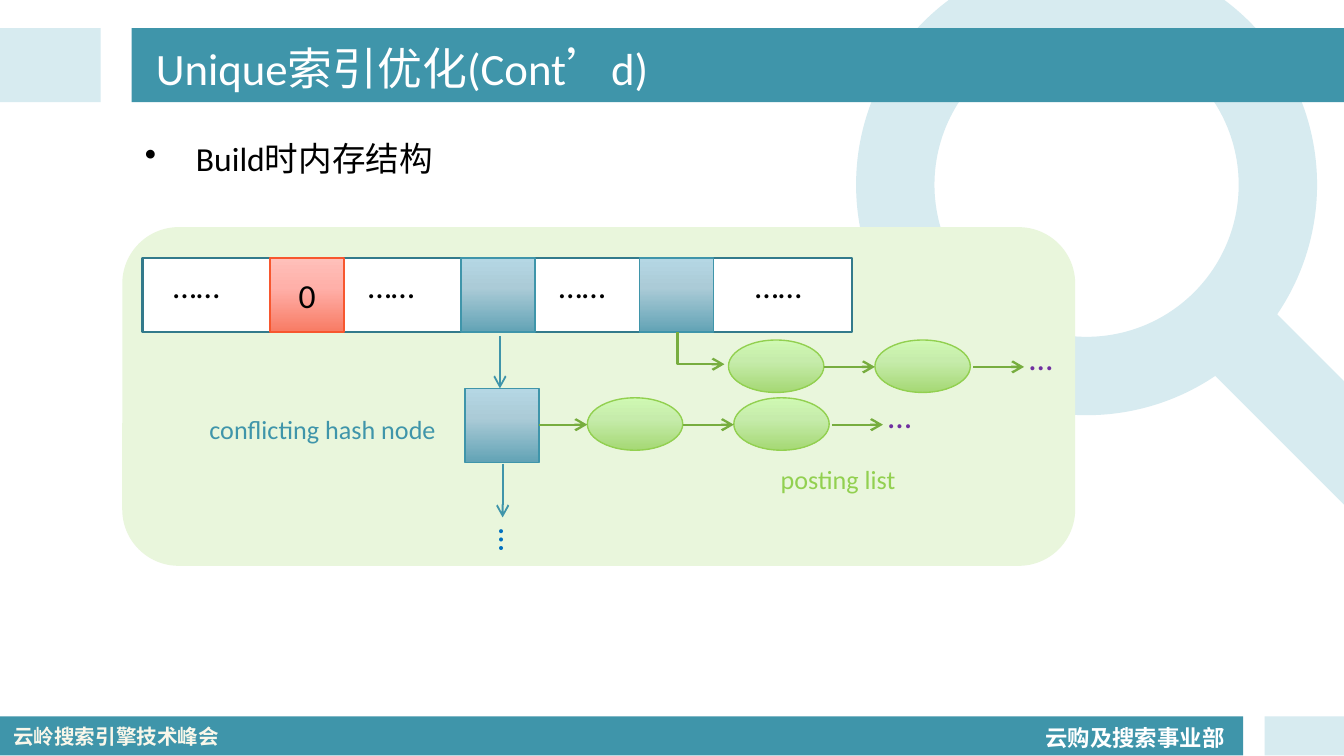
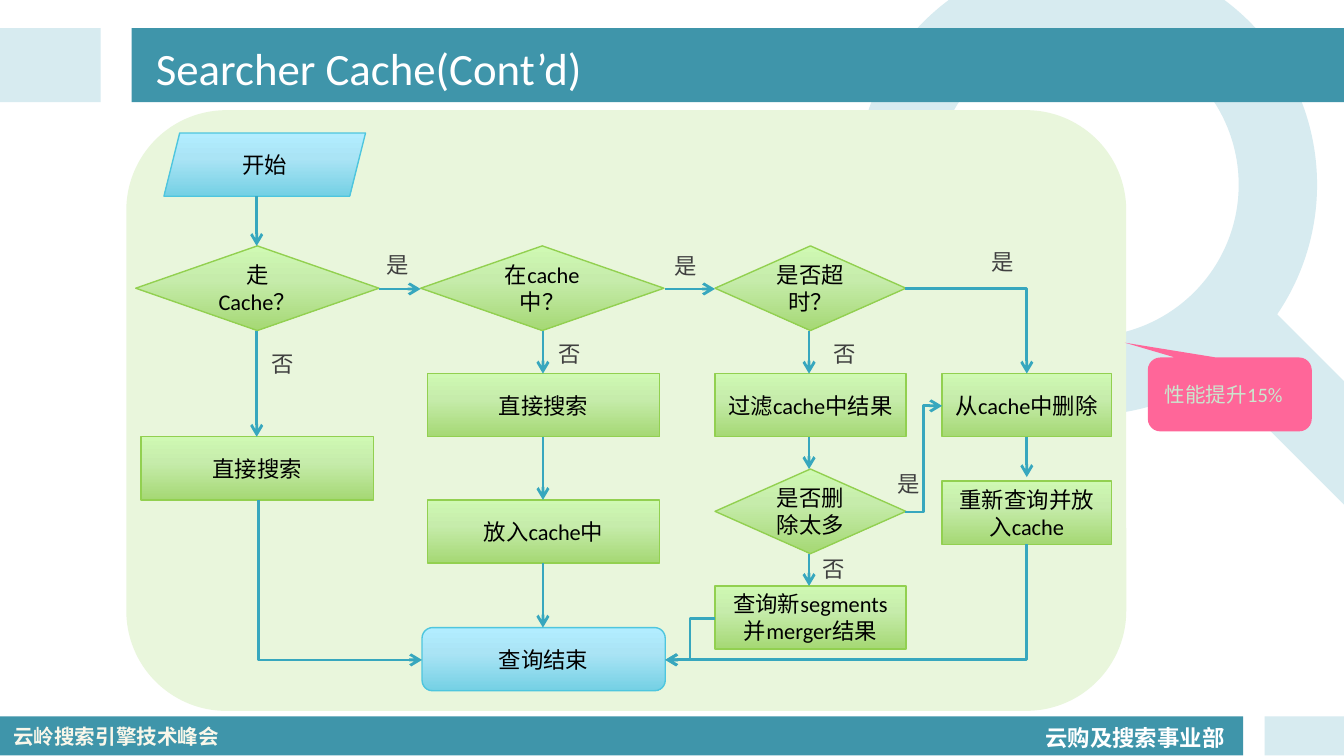
from dataclasses import dataclass
from typing import Optional

from lxml.etree import SubElement
from pptx import Presentation
from pptx.dml.color import RGBColor
from pptx.enum.shapes import MSO_CONNECTOR as Link, MSO_SHAPE as Form
from pptx.enum.text import MSO_ANCHOR as Anchor, MSO_AUTO_SIZE as AutoSize, PP_ALIGN as Align
from pptx.oxml.ns import qn
from pptx.util import Inches, Pt

COLORS = {
    "white": "FFFFFF", "black": "000000", "gray": "404040", "cream": "F9F7EA",
    "teal": "3F95AA", "pale": "D7EBF0", "panel": "E9F6DC", "frame": "337A8B",
    "flow": "37A7BE", "chain": "77AD3F", "lime": "92D050", "red": "F7572F",
    "cyan": "4EC6DE", "blue": "0070C0", "purple": "7030A0", "pink": "FF6699",
    "mint": "CBE7CE",
}
# Gradient stops at 0, 40 and 100 percent, then the outline colour
GRADIENTS = {
    "green": (("CFF9B3", "C6ECAB", "A5D874"), "lime"),
    "sky": (("B2EDFF", "AAE4F5", "74D0E4"), "cyan"),
    "steel": (("B5D7E4", "ABCBD7", "62A3B5"), "teal"),
    "rose": (("FFC0BA", "FFB0A9", "F87B64"), "red"),
}
FONT = "Calibri"
CJK_FONT = "Noto Sans CJK SC"


@dataclass
class Node:
    left: float
    top: float
    width: float
    height: float
    form: Form
    style: str
    text: str = ""
    size: float = 12


@dataclass
class Label:
    left: float
    top: float
    width: float
    height: float
    text: str
    size: float
    color: str
    font: str = FONT
    bold: bool = False
    wrap: bool = False
    grow: bool = True
    spacing: Optional[float] = None
    rotation: float = 0


@dataclass
class Arrow:
    x1: float
    y1: float
    x2: float
    y2: float
    bend: str = ""  # "across": level first, "down": upright first, "step": two bends


def rgb(name: str) -> RGBColor:
    return RGBColor.from_string(COLORS[name])


def style_para(para, size: float, color: str, font: str = FONT, bold: bool = False) -> None:
    para.font.name = font
    para.font.size = Pt(size)
    para.font.bold = bold
    para.font.color.rgb = rgb(color)


def add_plain(page, form: Form, left: float, top: float, width: float, height: float,
              fill: str, line: str = ""):
    box = page.shapes.add_shape(form, Inches(left), Inches(top), Inches(width), Inches(height))
    box.shadow.inherit = False
    box.fill.solid()
    box.fill.fore_color.rgb = rgb(fill)
    if line:
        box.line.color.rgb = rgb(line)
        box.line.width = Pt(1.25)
    else:
        box.line.fill.background()
    return box


def add_node(page, node: Node) -> None:
    stops, outline = GRADIENTS[node.style]
    box = add_plain(page, node.form, node.left, node.top, node.width, node.height,
                    "white", outline)
    box.line.width = Pt(0.75)
    box.fill.gradient()
    box.fill.gradient_angle = 270
    stop_list = box._element.spPr.find(".//" + qn("a:gsLst"))
    for old in list(stop_list):
        stop_list.remove(old)
    for position, color in zip((0, 40, 100), stops):
        stop = SubElement(stop_list, qn("a:gs"), pos=str(position * 1000))
        SubElement(stop, qn("a:srgbClr"), val=color)
    if node.text:
        box.text_frame.text = node.text
        box.text_frame.vertical_anchor = Anchor.MIDDLE
        para = box.text_frame.paragraphs[0]
        para.alignment = Align.CENTER
        style_para(para, node.size, "black")


def add_label(page, label: Label):
    box = page.shapes.add_textbox(Inches(label.left), Inches(label.top),
                                  Inches(label.width), Inches(label.height))
    box.rotation = label.rotation
    frame = box.text_frame
    frame.word_wrap = label.wrap
    frame.auto_size = AutoSize.SHAPE_TO_FIT_TEXT if label.grow else AutoSize.NONE
    frame.text = label.text
    para = frame.paragraphs[0]
    if label.spacing:
        para.line_spacing = label.spacing
    style_para(para, label.size, label.color, label.font, label.bold)
    return para


def add_arrow(page, arrow: Arrow, color: str, weight: float) -> None:
    x1, y1, x2, y2 = arrow.x1, arrow.y1, arrow.x2, arrow.y2
    rightward = x2 > x1
    if arrow.bend == "down":
        # The bend is drawn lying on its side, then turned about its centre
        middle_x, middle_y = (x1 + x2) / 2, (y1 + y2) / 2
        half_w, half_h = abs(y2 - y1) / 2, abs(x2 - x1) / 2
        x1, x2 = middle_x - half_w, middle_x + half_w
        y1, y2 = middle_y - half_h, middle_y + half_h
    kind = Link.ELBOW if arrow.bend else Link.STRAIGHT
    link = page.shapes.add_connector(kind, Inches(x1), Inches(y1), Inches(x2), Inches(y2))
    link.line.color.rgb = rgb(color)
    link.line.width = Pt(weight)
    props = link._element.spPr
    if arrow.bend in ("across", "down"):
        props.find(qn("a:prstGeom")).set("prst", "bentConnector2")
    if arrow.bend == "down":
        turn = props.find(qn("a:xfrm"))
        turn.set("rot", str((270 if rightward else 90) * 60000))
        if rightward:
            turn.set("flipH", "1")
    SubElement(props.find(qn("a:ln")), qn("a:tailEnd"), type="arrow")
    SubElement(props, qn("a:effectLst"))


def add_page(deck, title: str):
    page = deck.slides.add_slide(deck.slide_layouts[5])
    page.background.fill.solid()
    page.background.fill.fore_color.rgb = rgb("white")
    # Magnifier
    ring = add_plain(page, Form.DONUT, 6.37, -0.34, 3.43, 3.43, "pale")
    ring.adjustments[0] = 0.17
    handle = add_plain(page, Form.ROUNDED_RECTANGLE, 8.66, 2.7, 2.14, 0.65, "pale")
    handle.adjustments[0] = 0.5
    handle.rotation = 45
    # Footer and title bands
    add_plain(page, Form.RECTANGLE, 0, 5.33, 9.25, 0.29, "teal")
    add_plain(page, Form.RECTANGLE, 9.41, 5.33, 0.59, 0.29, "pale")
    add_label(page, Label(7.68, 5.3, 1.55, 0.33, "云购及搜索事业部", 12, "white",
                          bold=True, spacing=1.2))
    add_plain(page, Form.RECTANGLE, 0, 0.21, 0.75, 0.55, "pale")
    add_plain(page, Form.RECTANGLE, 0.98, 0.21, 9.02, 0.55, "teal")
    add_label(page, Label(0, 5.34, 1.77, 0.29, "云岭搜索引擎技术峰会", 11, "cream",
                          CJK_FONT, bold=True, wrap=True))
    # Title, in front of its band
    box = page.shapes.title
    box.left, box.top, box.width, box.height = map(Inches, (1.06, 0.23, 8.44, 0.54))
    box.text_frame.text = title
    box.text_frame.vertical_anchor = Anchor.MIDDLE
    para = box.text_frame.paragraphs[0]
    para.alignment = Align.LEFT
    style_para(para, 24, "white")
    page.shapes._spTree.append(box._element)
    return page


def build_index_page(deck) -> None:
    page = add_page(deck, "Unique索引优化(Cont’d)")
    # Bullet
    para = add_label(page, Label(0.98, 0.92, 8.52, 4.1, "Build时内存结构", 18, "black",
                                 wrap=True, grow=False, spacing=1.2))
    para.space_before = Pt(3.6)
    props = para._p.get_or_add_pPr()
    props.set("marL", str(Inches(0.38)))
    props.set("indent", str(-Inches(0.38)))
    bullet = props.makeelement(qn("a:buChar"), {"char": "•"})
    props.find(qn("a:defRPr")).addprevious(bullet)

    # Hash array
    add_plain(page, Form.ROUNDED_RECTANGLE, 0.91, 1.69, 7.09, 2.52, "panel")
    add_plain(page, Form.RECTANGLE, 1.06, 1.92, 5.28, 0.55, "white", "frame")
    cell = 0.55
    add_node(page, Node(2.01, 1.92, cell, cell, Form.RECTANGLE, "rose", "0", 18))
    for left, top in ((3.43, 1.92), (4.76, 1.92), (3.46, 2.89)):
        add_node(page, Node(left, top, cell, cell, Form.RECTANGLE, "steel"))
    for left in (1.19, 2.64, 4.06, 5.52):
        add_label(page, Label(left, 1.92, 0.58, 0.4, "……", 18, "black"))

    # Conflict chain
    for arrow in (Arrow(3.72, 2.5, 3.72, 2.89), Arrow(3.74, 3.45, 3.74, 3.85)):
        add_arrow(page, arrow, "teal", 1)
    add_label(page, Label(3.62, 3.83, 0.39, 0.4, "…", 18, "blue", rotation=90))

    # Posting lists: two ellipses and an ellipsis each
    for left, top in ((5.42, 2.53), (4.37, 2.96)):
        middle = top + 0.2
        for step in (0, 1.09):
            add_node(page, Node(left + step, top, 0.71, 0.39, Form.OVAL, "green"))
        for start in (left + 0.71, left + 1.82):
            add_arrow(page, Arrow(start, middle, start + 0.38, middle), "chain", 1.25)
        add_label(page, Label(left + 2.14, top - 0.07, 0.39, 0.4, "…", 18, "purple"))
    add_arrow(page, Arrow(4.01, 3.16, 4.37, 3.16), "chain", 1.25)
    add_arrow(page, Arrow(5.04, 2.47, 5.39, 2.71, "down"), "chain", 1.25)
    add_label(page, Label(5.71, 3.4, 1.18, 0.34, "posting list", 14, "lime", wrap=True))
    add_label(page, Label(1.46, 3.03, 1.9, 0.34, "conflicting hash node", 14, "teal"))


def build_cache_page(deck) -> None:
    page = add_page(deck, "Searcher Cache(Cont’d)")
    add_plain(page, Form.ROUNDED_RECTANGLE, 0.94, 0.82, 7.44, 4.47, "panel")

    # Start and end
    add_node(page, Node(1.22, 0.99, 1.5, 0.47, Form.PARALLELOGRAM, "sky", "开始"))
    add_node(page, Node(3.14, 4.67, 1.81, 0.47, Form.ROUNDED_RECTANGLE, "sky", "查询结束"))

    # Decisions
    for left, top, width, text in (
        (1.01, 1.83, 1.81, "走Cache？"),
        (3.13, 1.83, 1.81, "在cache中？"),
        (5.32, 1.83, 1.42, "是否超时？"),
        (5.32, 3.49, 1.42, "是否删除太多"),
    ):
        add_node(page, Node(left, top, width, 0.63, Form.DIAMOND, "green", text))

    # Steps
    for left, top, width, text in (
        (1.05, 3.25, 1.73, "直接搜索"),
        (3.18, 2.78, 1.73, "直接搜索"),
        (3.18, 3.72, 1.73, "放入cache中"),
        (5.32, 2.78, 1.42, "过滤cache中结果"),
        (5.32, 4.36, 1.42, "查询新segments并merger结果"),
        (7.01, 2.78, 1.26, "从cache中删除"),
        (7.01, 3.58, 1.26, "重新查询并放入cache"),
    ):
        add_node(page, Node(left, top, width, 0.47, Form.RECTANGLE, "green", text))

    # Flow, column by column
    for x, spans in (
        (1.91, ((1.46, 1.83), (2.46, 3.25))),
        (4.04, ((2.46, 2.78), (3.25, 3.72), (4.19, 4.67))),
        (6.02, ((2.46, 2.78), (3.25, 3.49), (4.12, 4.36))),
        (7.64, ((3.25, 3.55),)),
    ):
        for top, bottom in spans:
            add_arrow(page, Arrow(x, top, x, bottom), "flow", 1.5)
    for arrow in (
        Arrow(2.82, 2.15, 3.13, 2.15),
        Arrow(4.95, 2.15, 5.32, 2.15),
        Arrow(6.73, 2.15, 7.64, 2.78, "across"),
        Arrow(6.73, 3.81, 7.01, 3.02, "step"),
        Arrow(5.32, 4.6, 4.95, 4.91, "step"),
        Arrow(1.92, 3.72, 3.14, 4.91, "down"),
        Arrow(7.64, 4.05, 4.95, 4.91, "down"),
    ):
        add_arrow(page, arrow, "flow", 1.5)

    # Answers
    for text, places in (
        ("是", ((2.78, 1.78), (4.92, 1.79), (7.28, 1.76), (6.58, 3.41))),
        ("否", ((1.92, 2.52), (4.06, 2.44), (6.1, 2.44), (6.02, 4.04))),
    ):
        for left, top in places:
            add_label(page, Label(left, top, 0.39, 0.34, text, 12, "gray", wrap=True,
                                  spacing=1.2))

    # Callout
    callout = add_plain(page, Form.ROUNDED_RECTANGULAR_CALLOUT, 8.54, 2.66, 1.22, 0.55, "pink")
    for index, value in enumerate((-0.64, -0.7, 0.17)):
        callout.adjustments[index] = value
    callout.text_frame.text = "性能提升15%"
    callout.text_frame.vertical_anchor = Anchor.MIDDLE
    para = callout.text_frame.paragraphs[0]
    para.alignment = Align.LEFT
    style_para(para, 11, "mint")


deck = Presentation()
# Widescreen, 16 to 9
deck.slide_width = Inches(10)
deck.slide_height = deck.slide_width * 9 // 16
build_index_page(deck)
build_cache_page(deck)
deck.save("out.pptx")
